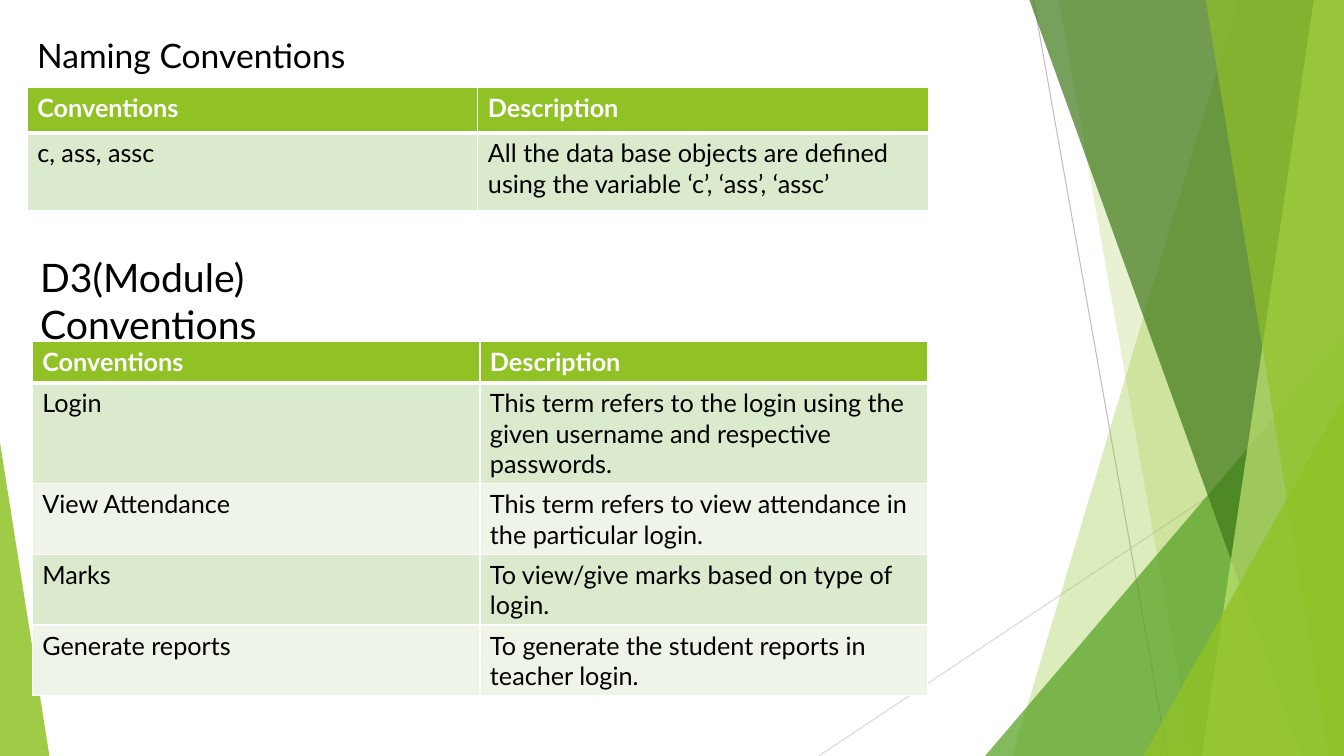
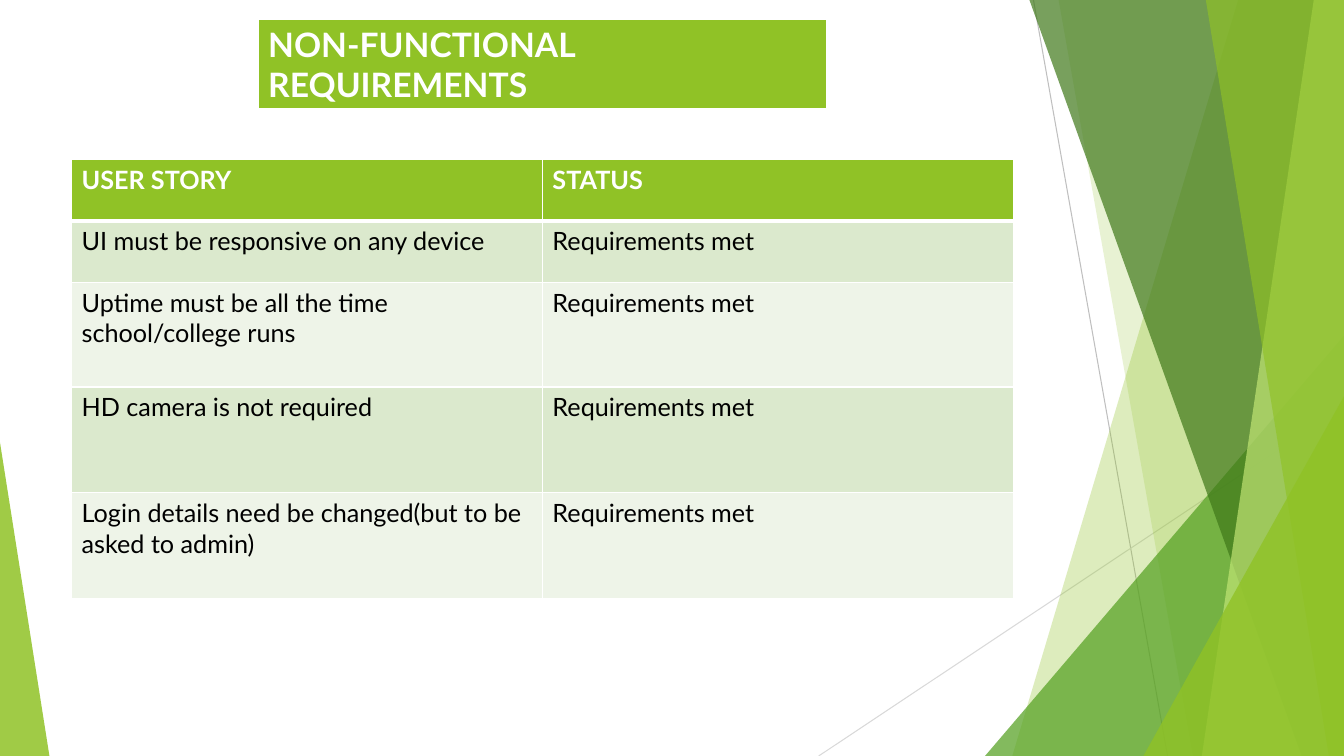
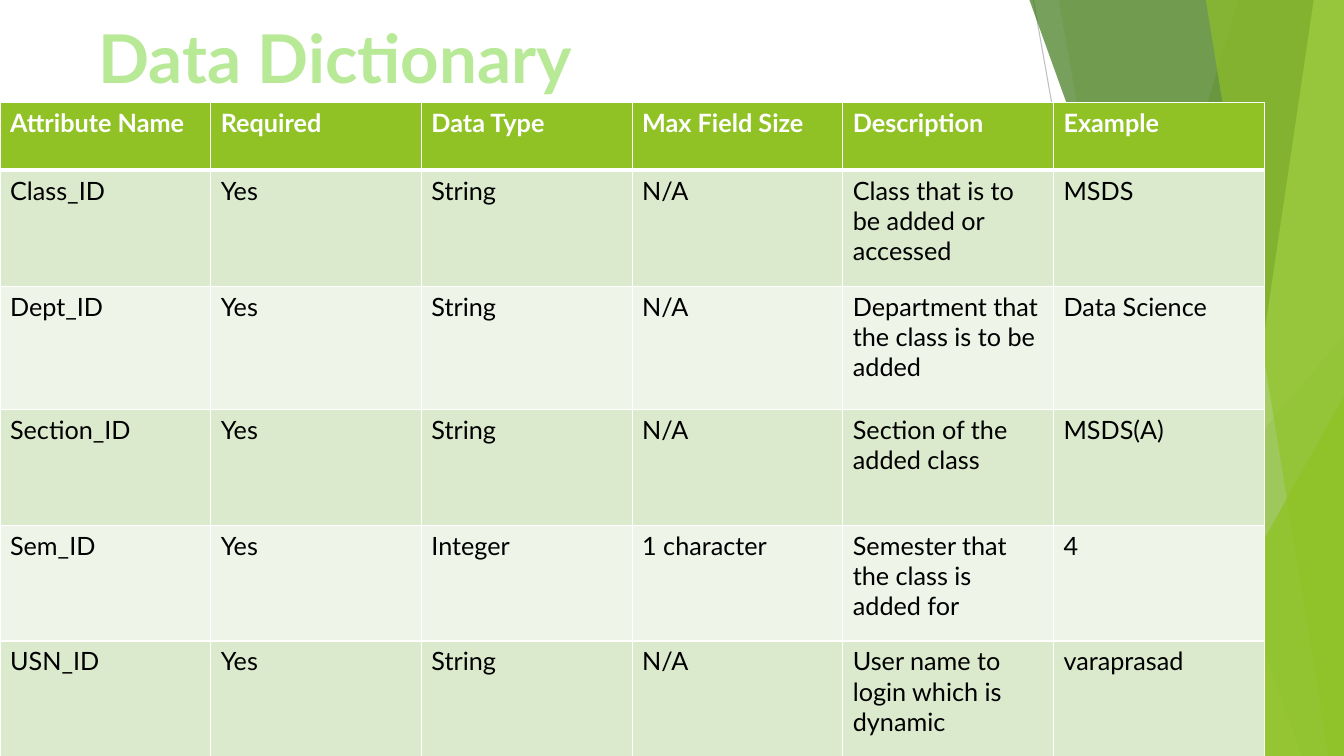
from lxml.etree import SubElement
from pptx import Presentation
from pptx.dml.color import RGBColor
from pptx.enum.shapes import MSO_CONNECTOR, MSO_SHAPE
from pptx.enum.text import PP_ALIGN
from pptx.oxml.ns import qn
from pptx.util import Pt

PX = 9144  # EMU per px, 100 px to the inch
WIDTH, HEIGHT = 1333, 750
FONT = "Lato"

WHITE = RGBColor(0xFF, 0xFF, 0xFF)
BLACK = RGBColor(0, 0, 0)
LIME = RGBColor(0x90, 0xC2, 0x26)
PALE_LIME = RGBColor(0xC0, 0xE4, 0x74)
GREEN = RGBColor(0x54, 0xA0, 0x21)
DARK_GREEN = RGBColor(0x3F, 0x78, 0x19)
MINT = RGBColor(0xB7, 0xE9, 0x96)
BAND_DARK = RGBColor(0xDB, 0xE9, 0xCD)
BAND_LIGHT = RGBColor(0xEE, 0xF4, 0xE8)
GREY = RGBColor(0xBF, 0xBF, 0xBF)
LIGHT_GREY = RGBColor(0xD9, 0xD9, 0xD9)


def px(*lengths):
    return [n * PX for n in lengths]


def style_font(p, size, color, bold=False):
    p.font.name = FONT
    p.font.size = Pt(size)
    p.font.bold = bold
    p.font.color.rgb = color


def white_or_outline(parent, tag, color, width):
    """Add a solid line element of the given tag and width in points."""
    ln = SubElement(parent, qn(tag), w=str(Pt(width)))
    fill = SubElement(ln, qn("a:solidFill"))
    SubElement(fill, qn("a:srgbClr"), val=str(color))
    return ln


# Backdrop
def paint(sp, color, opacity):
    sp.shadow.inherit = False
    sp.line.fill.background()
    sp.fill.solid()
    sp.fill.fore_color.rgb = color
    clr = sp.fill._xPr.find(qn("a:solidFill"))[0]
    SubElement(clr, qn("a:alpha"), val=str(opacity * 1000))


def add_line(slide, x1, y1, x2, y2, color):
    line = slide.shapes.add_connector(MSO_CONNECTOR.STRAIGHT, *px(x1, y1, x2, y2))
    line.line.color.rgb = color
    line.line.width = Pt(0.75)
    SubElement(line._element.spPr, qn("a:effectLst"))


def add_blade(slide, top_x, bottom_x, color, opacity):
    """Full-height panel between a slanted left edge and the slide's right edge."""
    builder = slide.shapes.build_freeform(top_x, 0, scale=PX)
    builder.add_line_segments([(WIDTH, 0), (WIDTH, HEIGHT), (bottom_x, HEIGHT)])
    paint(builder.convert_to_shape(), color, opacity)


def add_corner(slide, x, y, w, apex, color, opacity):
    """Triangle standing on the bottom edge, apex at 0 (left) or 1 (right)."""
    sp = slide.shapes.add_shape(MSO_SHAPE.ISOSCELES_TRIANGLE, *px(x, y, w, HEIGHT - y))
    sp.adjustments[0] = apex
    paint(sp, color, opacity)


def add_backdrop(slide):
    add_line(slide, 1025, 0, 1158, HEIGHT, GREY)
    add_line(slide, WIDTH, 403, 812, HEIGHT, LIGHT_GREY)
    add_blade(slide, 1228, 1004, LIME, 30)
    add_blade(slide, 1050, 1183, LIME, 20)
    add_corner(slide, 977, 333, 356, 1, GREEN, 72)
    add_blade(slide, 1021, 1291, DARK_GREEN, 70)
    add_blade(slide, 1303, 1192, PALE_LIME, 70)
    add_blade(slide, 1196, 1318, LIME, 65)
    add_corner(slide, 1134, 393, 199, 1, LIME, 80)
    add_corner(slide, 0, 439, 49, 0, LIME, 85)


# Text and tables
def add_heading(slide, x, y, w, h, text, size, color=BLACK, bold=False):
    tf = slide.shapes.add_textbox(*px(x, y, w, h)).text_frame
    tf.word_wrap = True
    p = tf.paragraphs[0]
    p.text = text
    style_font(p, size, color, bold)
    return p


def add_outline(p, color, width):
    props = p._p.pPr.find(qn("a:defRPr"))
    props.insert(0, white_or_outline(props, "a:ln", color, width))


def style_cell(cell, row, size):
    header = row == 0
    cell.fill.solid()
    cell.fill.fore_color.rgb = LIME if header else BAND_DARK if row % 2 else BAND_LIGHT
    style_font(cell.text_frame.paragraphs[0], size, WHITE if header else BLACK, header)
    # Borders come before the fill; the rule under the header is thicker
    tcPr = cell._tc.get_or_add_tcPr()
    widths = {"L": 1, "R": 1, "T": 3 if row == 1 else 1, "B": 3 if header else 1}
    for i, (side, width) in enumerate(widths.items()):
        tcPr.insert(i, white_or_outline(tcPr, "a:ln" + side, WHITE, width))


def add_grid(slide, x, y, col_width, row_heights, rows, size=18):
    cols = len(rows[0])
    frame = slide.shapes.add_table(
        len(rows), cols, *px(x, y, col_width * cols, sum(row_heights)))
    table = frame.table
    table.horz_banding = False
    for column in table.columns:
        column.width = col_width * PX
    for r, (height, texts) in enumerate(zip(row_heights, rows)):
        table.rows[r].height = height * PX
        for c, text in enumerate(texts):
            cell = table.cell(r, c)
            cell.text = text
            style_cell(cell, r, size)


# Slides
def conventions_slide(slide):
    header = ("Conventions", "Description")
    add_grid(slide, 27, 87, 447, [45, 77], [
        header,
        ("c, ass, assc",
         "All the data base objects are defined using the variable ‘c’, ‘ass’, ‘assc’"),
    ])
    add_heading(slide, 27, 30, 342, 50, "Naming Conventions", 24)
    add_grid(slide, 32, 339, 444, [41, 100, 70, 70, 70], [
        header,
        ("Login", "This term refers to the login using the given username "
                  "and respective passwords."),
        ("View Attendance", "This term refers to view attendance in the particular login."),
        ("Marks", "To view/give marks based on type of login."),
        ("Generate reports", "To generate the student reports in teacher login."),
    ])
    add_heading(slide, 30, 246, 350, 104, "D3(Module) Conventions", 28)


def requirements_slide(slide):
    add_grid(slide, 256, 19, 564, [88], [("NON-FUNCTIONAL REQUIREMENTS",)], size=24)
    stories = [
        "UI must be responsive on any device",
        "Uptime must be all the time school/college runs",
        "HD camera is not required",
        "Login details need be changed(but to be asked to admin)",
    ]
    add_grid(slide, 71, 158, 467, [61, 61, 104, 105, 105],
             [("USER STORY", "STATUS")] + [(story, "Requirements met") for story in stories])


def dictionary_slide(slide):
    add_grid(slide, 0, 102, 209, [67, 115, 122, 115, 115, 115], [
        ("Attribute Name", "Required", "Data Type", "Max Field Size", "Description", "Example"),
        ("Class_ID", "Yes", "String", "N/A", "Class that is to be added or accessed", "MSDS"),
        ("Dept_ID", "Yes", "String", "N/A", "Department that the class is to be added",
         "Data Science"),
        ("Section_ID", "Yes", "String", "N/A", "Section of the added class", "MSDS(A)"),
        ("Sem_ID", "Yes", "Integer", "1 character", "Semester that the class is added for", "4"),
        ("USN_ID", "Yes", "String", "N/A", "User name to login which is dynamic", "varaprasad"),
    ])
    p = add_heading(slide, 80, 11, 505, 91, "Data Dictionary", 48, MINT, bold=True)
    p.alignment = PP_ALIGN.CENTER
    add_outline(p, GREEN, 1.75)


def main():
    prs = Presentation()
    prs.slide_width, prs.slide_height = px(WIDTH, HEIGHT)
    for build in (conventions_slide, requirements_slide, dictionary_slide):
        slide = prs.slides.add_slide(prs.slide_layouts[6])
        add_backdrop(slide)
        build(slide)
    prs.save("out.pptx")


if __name__ == "__main__":
    main()
